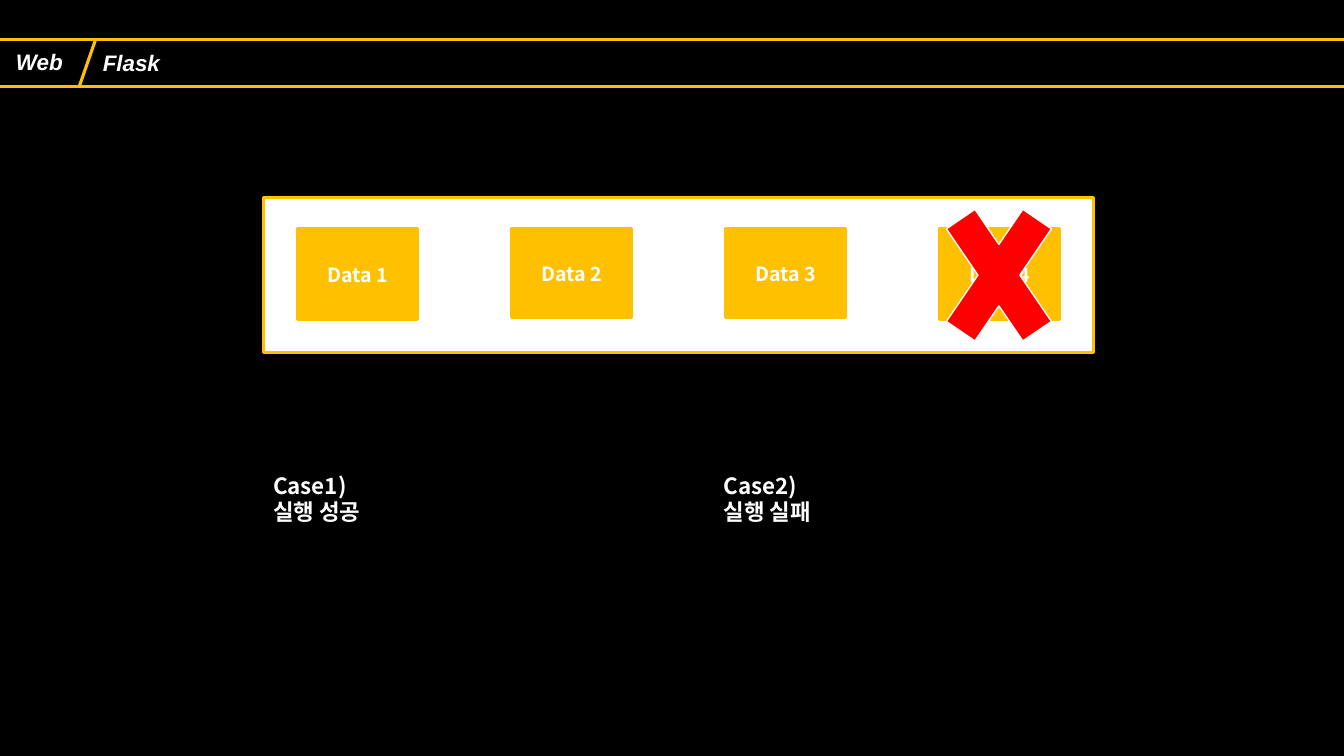
from pptx import Presentation
from pptx import util as u
from pptx.dml import color
from pptx.enum import shapes, text
from pptx.oxml import ns
from lxml import etree

BLACK, WHITE, GOLD, RED = "000000", "FFFFFF", "FFC000", "FF0000"
LATIN, KOREAN = "Arial", "Noto Sans CJK KR"


def rgb(value):
    return color.RGBColor.from_string(value)


class Deck:
    def __init__(self, width, height):
        self.prs = Presentation()
        self.prs.slide_width = u.Inches(width)
        self.prs.slide_height = u.Inches(height)
        self.s = self.prs.slides.add_slide(self.prs.slide_layouts[5])
        self.s.background.fill.solid()
        self.s.background.fill.fore_color.rgb = rgb(BLACK)

    def x(self, percent):
        return round(self.prs.slide_width * percent / 100)

    def y(self, percent):
        return round(self.prs.slide_height * percent / 100)

    def area(self, left, top, width, height):
        return self.x(left), self.y(top), self.x(width), self.y(height)

    def set_text(self, sp, lines, size, font, italic=False, centred=False):
        tf = sp.text_frame
        tf.word_wrap = centred
        tf.auto_size = text.MSO_AUTO_SIZE.NONE
        tf.vertical_anchor = text.MSO_ANCHOR.MIDDLE if centred else text.MSO_ANCHOR.TOP
        for i, line in enumerate(lines):
            p = tf.add_paragraph() if i else tf.paragraphs[0]
            p.alignment = text.PP_ALIGN.CENTER if centred else text.PP_ALIGN.LEFT
            r = p.add_run()
            r.text = line
            r.font.size = u.Pt(size)
            r.font.name = font
            r.font.bold = True
            r.font.italic = italic
            r.font.color.rgb = rgb(WHITE)
            ea = etree.SubElement(r._r.get_or_add_rPr(), ns.qn("a:ea"))
            ea.set("typeface", font)

    def title(self, area, line):
        sp = self.s.shapes.title
        sp.left, sp.top, sp.width, sp.height = self.area(*area)
        self.set_text(sp, [line], 16, LATIN, italic=True)

    def label(self, area, lines, font, italic=False):
        sp = self.s.shapes.add_textbox(*self.area(*area))
        self.set_text(sp, lines, 16, font, italic)

    def shape(self, kind, area, fill, line, weight=2.25):
        sp = self.s.shapes.add_shape(kind, *self.area(*area))
        sp.shadow.inherit = False
        if fill:
            sp.fill.solid()
            sp.fill.fore_color.rgb = rgb(fill)
        else:
            sp.fill.background()
        sp.line.color.rgb = rgb(line)
        sp.line.width = u.Pt(weight)
        return sp

    def box(self, area, line):
        sp = self.shape(shapes.MSO_SHAPE.RECTANGLE, area, GOLD, GOLD)
        self.set_text(sp, [line], 14, KOREAN, centred=True)

    def line(self, x1, y1, x2, y2):
        sp = self.s.shapes.add_connector(
            shapes.MSO_CONNECTOR.STRAIGHT, self.x(x1), self.y(y1), self.x(x2), self.y(y2))
        sp.line.color.rgb = rgb(GOLD)
        sp.line.width = u.Pt(2.25)
        etree.SubElement(sp._element.spPr, ns.qn("a:effectLst"))


def main():
    deck = Deck(13.33, 7.5)
    rectangle = shapes.MSO_SHAPE.RECTANGLE

    deck.shape(rectangle, (-1.1, 5.2, 102.2, 6.27), None, GOLD)
    deck.label((0.45, 5.73, 5.02, 4.93), ["Web"], LATIN, italic=True)
    deck.line(7.12, 5.2, 5.92, 11.33)
    deck.title((6.9, 5.87, 5.85, 4.93), "Flask")

    deck.shape(rectangle, (19.58, 26.13, 61.8, 20.53), WHITE, GOLD)
    for i, height in enumerate((12, 11.73, 11.73, 12)):
        deck.box((22.13 + 15.93 * i, 30.27, 8.93, height), f"Data {i + 1}")
    deck.shape(shapes.MSO_SHAPE.MATH_MULTIPLY, (68.85, 22.13, 10.95, 28.53), RED, WHITE, 1)

    for i, (left, result) in enumerate(((19.58, "실행 성공"), (53.1, "실행 실패")), 1):
        deck.label((left, 61.73, 8.85, 8.53), [f"Case{i})", result], KOREAN)

    deck.prs.save("out.pptx")


if __name__ == "__main__":
    main()
